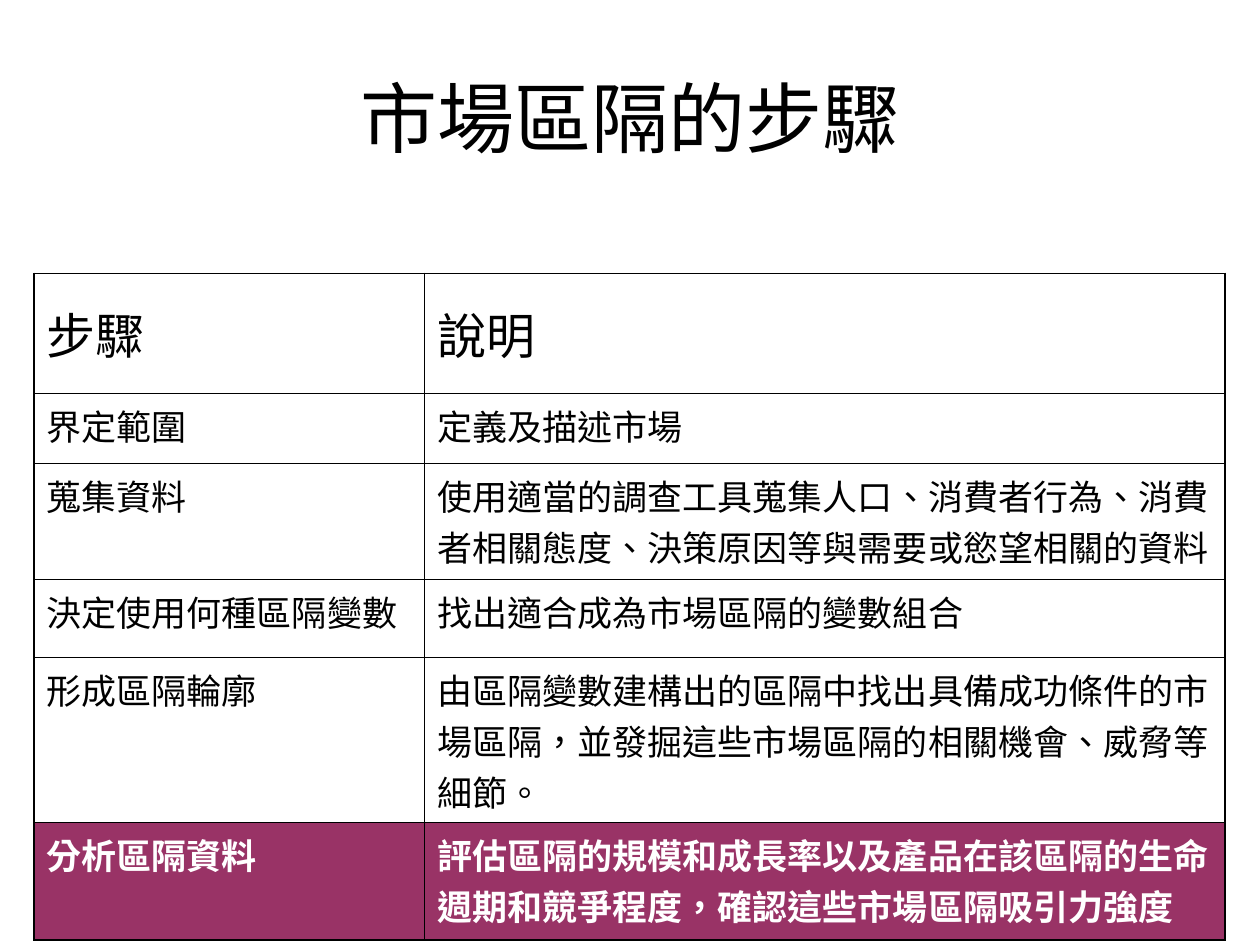
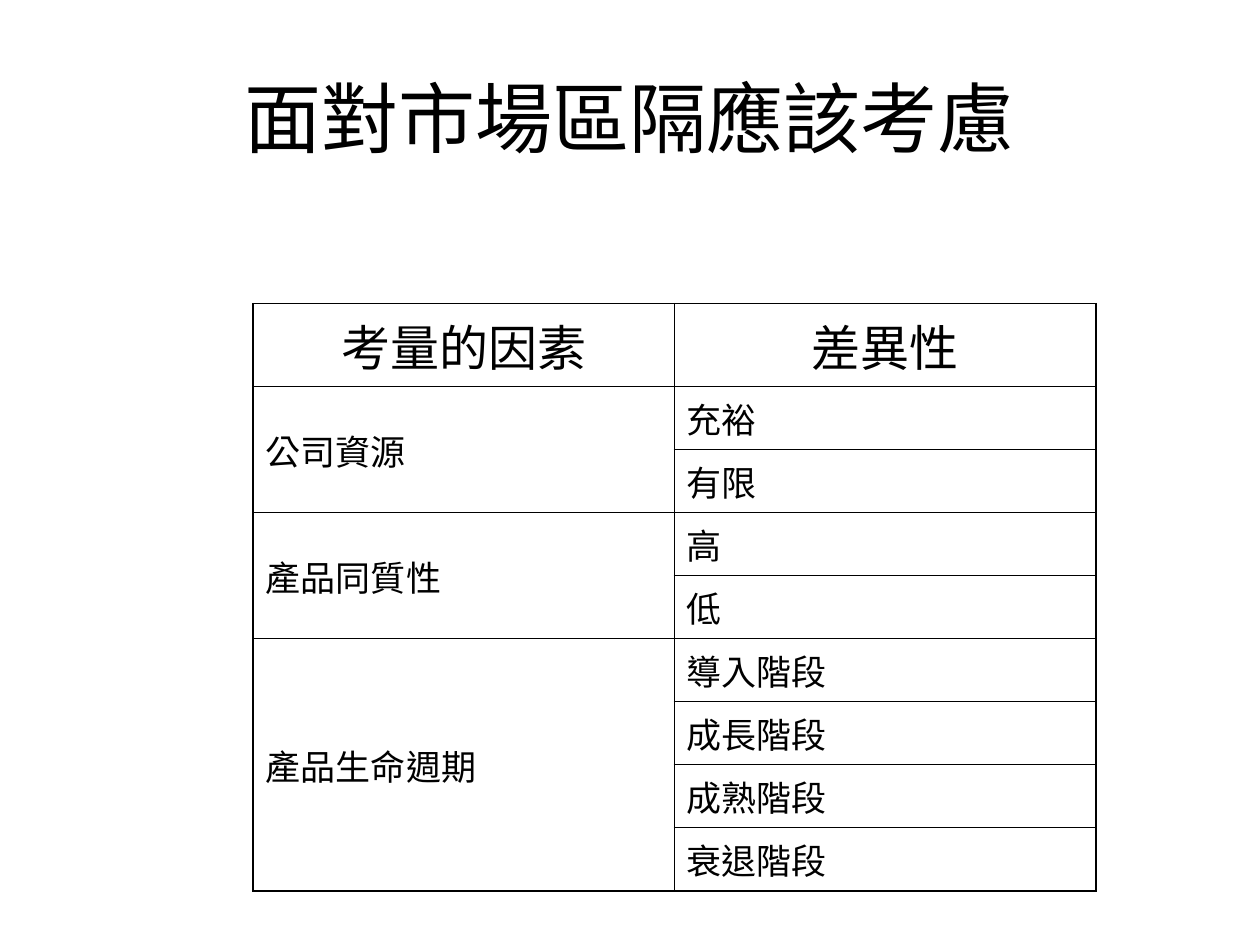
from dataclasses import dataclass, field
from itertools import chain

from lxml.etree import SubElement
from pptx import Presentation
from pptx.dml.color import RGBColor
from pptx.enum.text import MSO_ANCHOR, PP_ALIGN
from pptx.oxml.ns import qn
from pptx.slide import Slide
from pptx.table import Table, _Cell
from pptx.text.text import _Paragraph
from pptx.util import Emu, Pt

EMU_PER_PX = 9144  # 100 px to the inch
BLACK = RGBColor(0x00, 0x00, 0x00)
WHITE = RGBColor(0xFF, 0xFF, 0xFF)
PLUM = RGBColor(0x99, 0x33, 0x66)
LATIN = "Arial"
SIMPLIFIED = "Noto Sans CJK SC"
TRADITIONAL = "Noto Sans CJK TC"
OUTER_LINE, INNER_LINE = Pt(1.08), Pt(0.45)


@dataclass(frozen=True)
class Run:
    text: str
    font: str = LATIN


@dataclass(frozen=True)
class CellStyle:
    size: int = 20
    space_before: int = 5
    color: RGBColor = BLACK
    bold: bool = False
    fill: RGBColor | None = None
    align: PP_ALIGN = PP_ALIGN.LEFT
    anchor: MSO_ANCHOR = MSO_ANCHOR.TOP


@dataclass(frozen=True)
class Grid:
    """Table geometry; first_column_spans gives the rows each label covers."""
    left: int
    top: int
    columns: tuple[int, ...]
    rows: tuple[int, ...]
    first_column_spans: list[int] = field(default_factory=list)


STEP_HEADER = CellStyle(28, 7, anchor=MSO_ANCHOR.MIDDLE)
STEP_BODY = CellStyle(fill=WHITE)
STEP_HIGHLIGHT = CellStyle(color=WHITE, bold=True, fill=PLUM)
FACTOR_HEADER = CellStyle(28, 7, align=PP_ALIGN.CENTER, anchor=MSO_ANCHOR.MIDDLE)
DIFFERENCE_HEADER = CellStyle(28, 7, align=PP_ALIGN.CENTER)
FACTOR_BODY = CellStyle(anchor=MSO_ANCHOR.MIDDLE)

STEPS = [
    ("步驟", [Run("說明")], STEP_HEADER),
    ("界定範圍", [Run("定義及描述市場")], STEP_BODY),
    ("蒐集資料", [
        Run("使用"),
        Run("適當的調查工具蒐集人口", TRADITIONAL),
        Run("、消費者行為、消費者相關態度、決策原因等與需要或慾望相關的資料"),
    ], STEP_BODY),
    ("決定使用何種區隔變數", [Run("找出適合成為市場區隔的變數組合")], STEP_BODY),
    ("形成區隔輪廓", [
        Run("由"),
        Run("區隔變數建構出的區隔中找出具備成功條件的市場區隔", TRADITIONAL),
        Run("，並發掘這些市場區隔的相關機會、威脅等細節"),
        Run("。", SIMPLIFIED),
    ], STEP_BODY),
    ("分析區隔資料", [
        Run("評估區隔的規模和成長率以及產品在該區隔的生命週期和競爭程度，確認這些市場區隔吸引力強度"),
    ], STEP_HIGHLIGHT),
]
FACTORS = {
    "公司資源": ["充裕", "有限"],
    "產品同質性": ["高", "低"],
    "產品生命週期": ["導入階段", "成長階段", "成熟階段", "衰退階段"],
}
FACTOR_SPANS = [len(differences) for differences in FACTORS.values()]
STEP_GRID = Grid(27, 217, (310, 635), (95, 56, 92, 62, 131, 93))
FACTOR_GRID = Grid(201, 241, (334, 335), (66, *[50] * sum(FACTOR_SPANS)), FACTOR_SPANS)


def px(length: int) -> Emu:
    return Emu(length * EMU_PER_PX)


def add_runs(paragraph: _Paragraph, runs: list[Run], color: RGBColor, font_format: dict) -> None:
    """Add runs, with a Chinese typeface beside a Latin one."""
    for item in runs:
        run = paragraph.add_run()
        run.text = item.text
        run.font.color.rgb = color
        for name, value in {"name": item.font, **font_format}.items():
            setattr(run.font, name, value)
        properties = run.font._element
        properties.set("lang", "zh-TW")
        east_asian = TRADITIONAL if item.font == LATIN else item.font
        SubElement(properties, qn("a:ea"), typeface=east_asian)


def add_title(slide: Slide, title: Run) -> None:
    frame = slide.shapes.add_textbox(px(50), px(30), px(900), px(125)).text_frame
    frame.word_wrap = True
    frame.vertical_anchor = MSO_ANCHOR.MIDDLE
    paragraph = frame.paragraphs[0]
    paragraph.alignment = PP_ALIGN.CENTER
    add_runs(paragraph, [title], BLACK, {"size": Pt(44)})


def add_grid(slide: Slide, grid: Grid) -> Table:
    """Add a table with thick outer and thin inner borders."""
    row_count, column_count = len(grid.rows), len(grid.columns)
    table = slide.shapes.add_table(
        row_count, column_count, px(grid.left), px(grid.top),
        px(sum(grid.columns)), px(sum(grid.rows)),
    ).table
    table.first_row = table.horz_banding = False
    for column, width in zip(table.columns, grid.columns):
        column.width = px(width)
    for row, height in zip(table.rows, grid.rows):
        row.height = px(height)
    first_row = 1
    for span in grid.first_column_spans:
        table.cell(first_row, 0).merge(table.cell(first_row + span - 1, 0))
        first_row += span
    for row in range(row_count):
        for column in range(column_count):
            cell = table.cell(row, column)
            row_span = cell.span_height if cell.is_merge_origin else 1
            add_borders(cell, {
                "a:lnL": column == 0,
                "a:lnR": column == column_count - 1,
                "a:lnT": row == 0,
                "a:lnB": row + row_span == row_count,
            })
            cell.fill.background()
    return table


def add_borders(cell: _Cell, outer_sides: dict[str, bool]) -> None:
    properties = cell._tc.get_or_add_tcPr()
    for tag, is_outer in outer_sides.items():
        width = OUTER_LINE if is_outer else INNER_LINE
        line = SubElement(properties, qn(tag), w=str(int(width)))
        fill = SubElement(line, qn("a:solidFill"))
        SubElement(fill, qn("a:srgbClr"), val=str(BLACK))


def fill_cell(cell: _Cell, runs: list[Run], style: CellStyle) -> None:
    if style.fill is not None:
        cell.fill.solid()
        cell.fill.fore_color.rgb = style.fill
    cell.vertical_anchor = style.anchor
    paragraph = cell.text_frame.paragraphs[0]
    paragraph.alignment = style.align
    paragraph.space_before = Pt(style.space_before)
    add_runs(paragraph, runs, style.color, {"size": Pt(style.size), "bold": style.bold})


def build_steps(slide: Slide) -> None:
    add_title(slide, Run("市場區隔的步驟", SIMPLIFIED))
    table = add_grid(slide, STEP_GRID)
    for row, (step, description, style) in enumerate(STEPS):
        fill_cell(table.cell(row, 0), [Run(step, TRADITIONAL)], style)
        fill_cell(table.cell(row, 1), description, style)


def build_factors(slide: Slide) -> None:
    add_title(slide, Run("面對市場區隔應該考慮"))
    table = add_grid(slide, FACTOR_GRID)
    fill_cell(table.cell(0, 0), [Run("考量的因素")], FACTOR_HEADER)
    fill_cell(table.cell(0, 1), [Run("差異性")], DIFFERENCE_HEADER)
    for row, difference in enumerate(chain.from_iterable(FACTORS.values()), start=1):
        fill_cell(table.cell(row, 1), [Run(difference)], FACTOR_BODY)
    first_row = 1
    for factor, differences in FACTORS.items():
        fill_cell(table.cell(first_row, 0), [Run(factor)], FACTOR_BODY)
        first_row += len(differences)


def main() -> None:
    presentation = Presentation()
    presentation.slide_width, presentation.slide_height = px(1000), px(750)
    blank_layout = presentation.slide_layouts[6]
    for build in (build_steps, build_factors):
        build(presentation.slides.add_slide(blank_layout))
    presentation.save("out.pptx")


if __name__ == "__main__":
    main()
